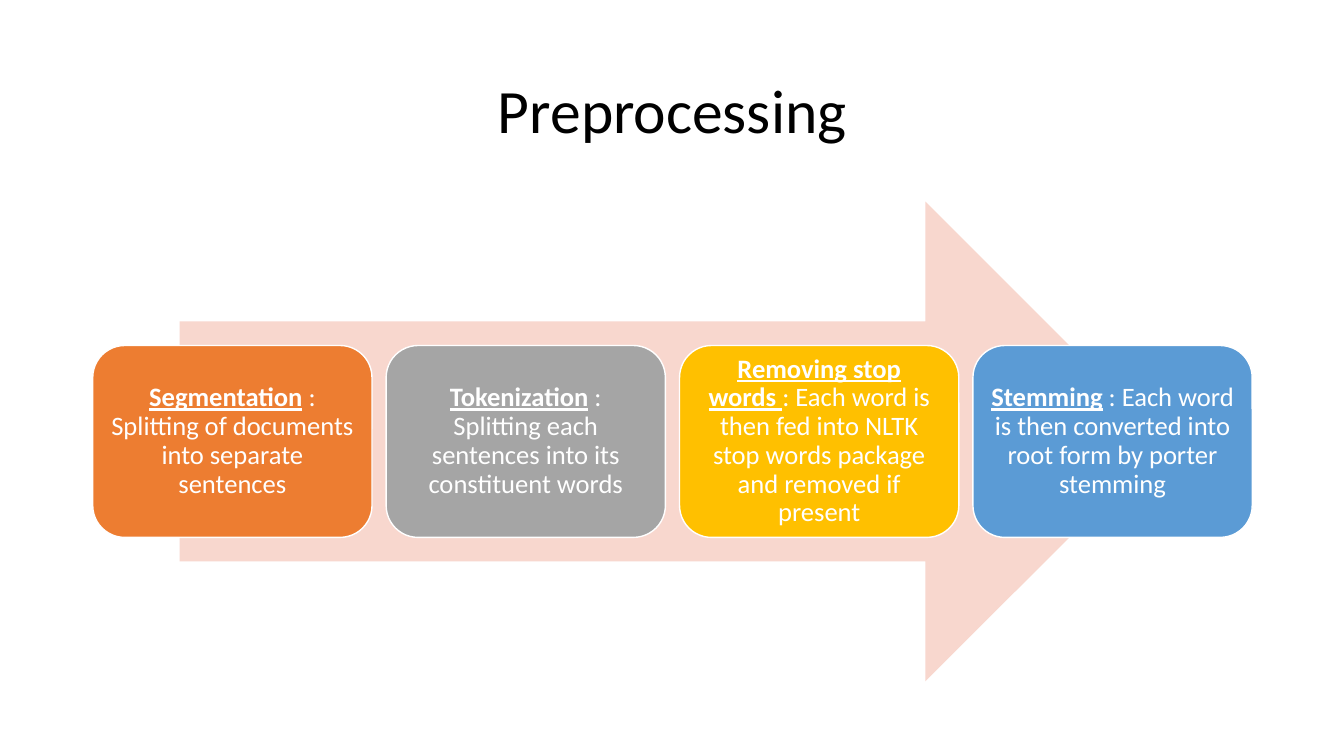
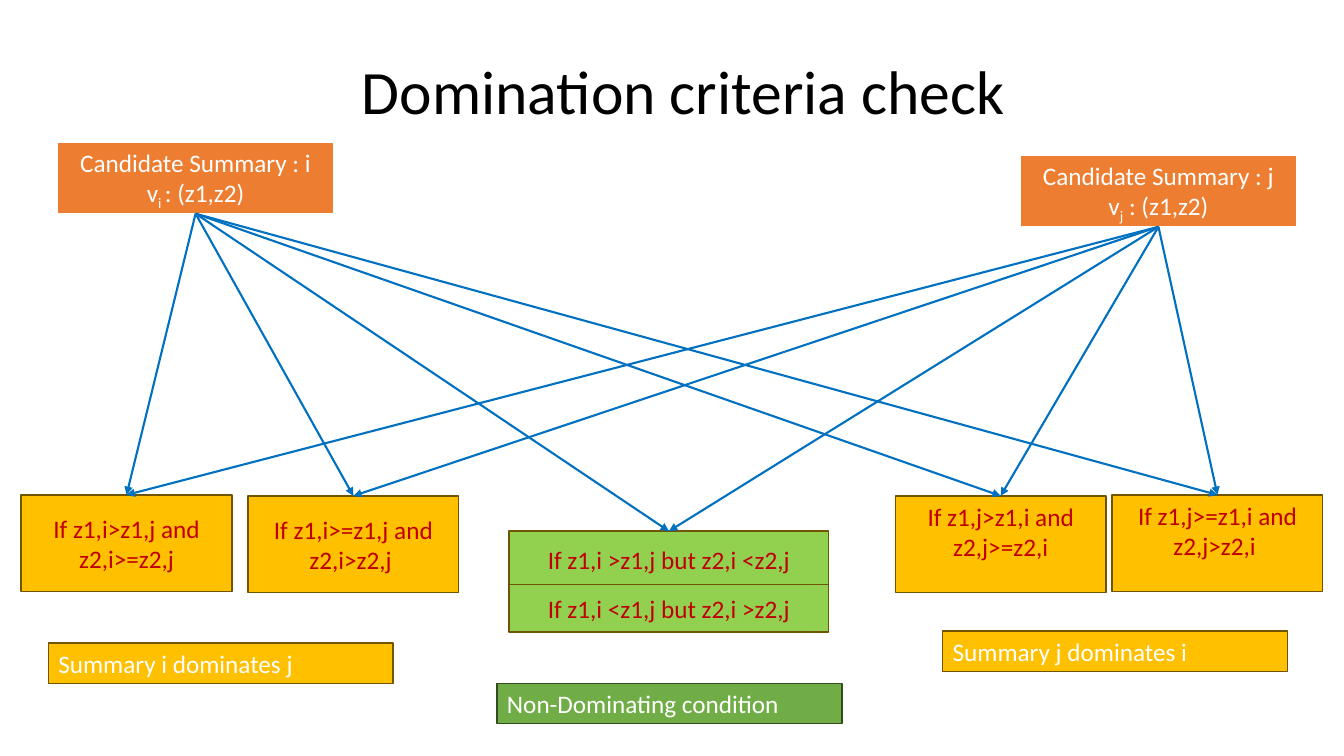
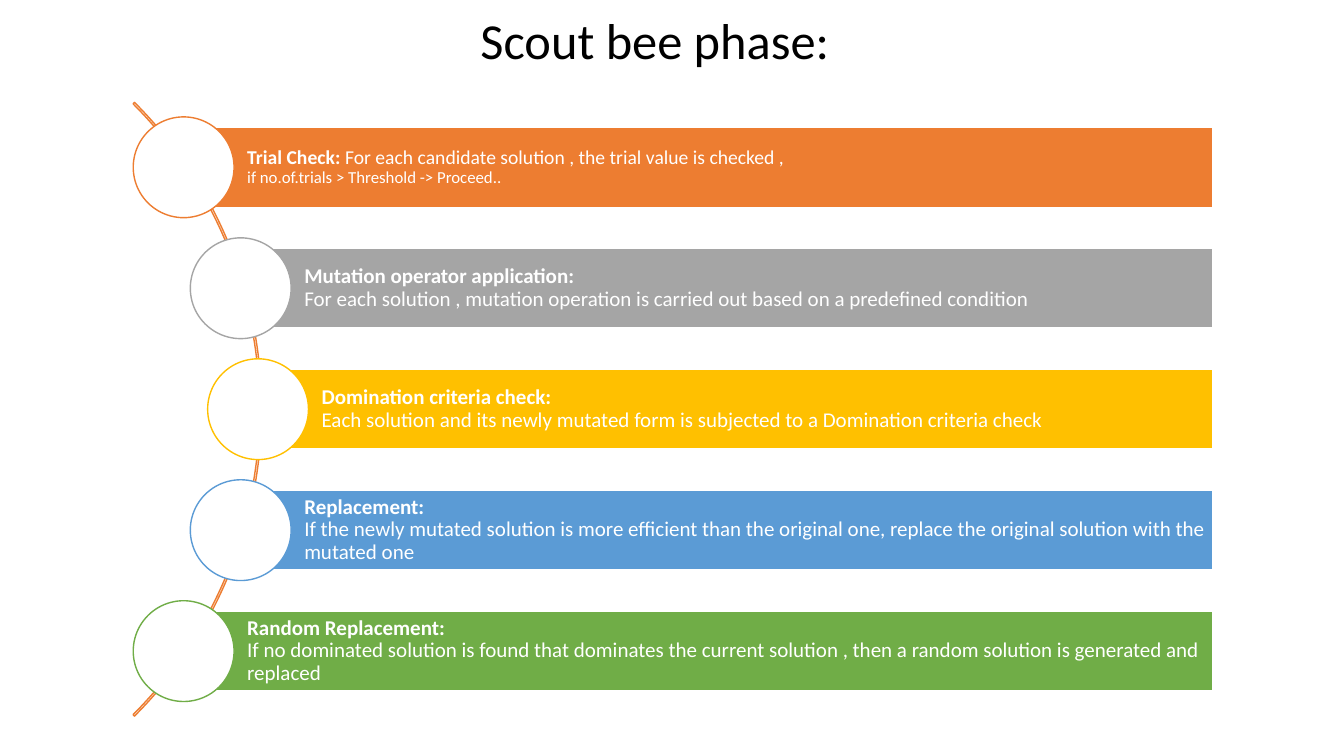
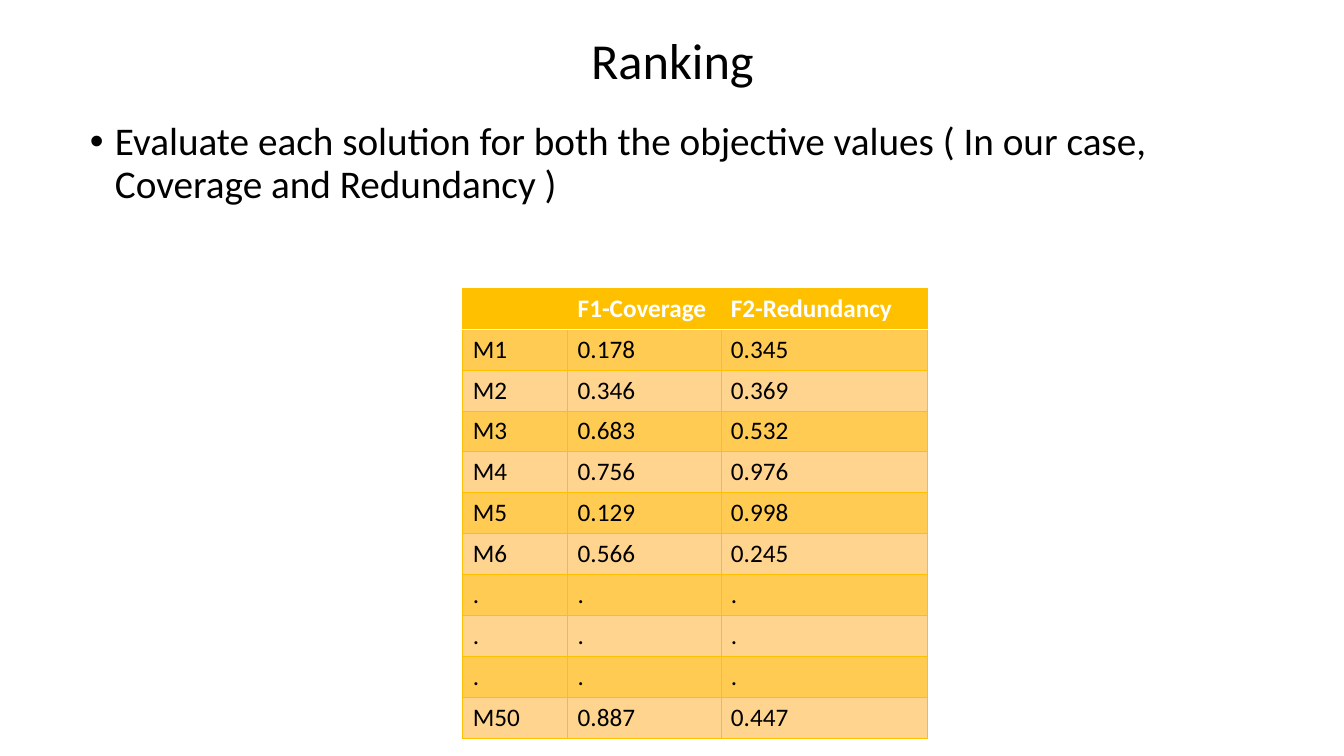
from dataclasses import dataclass
from math import sqrt

from lxml import etree
from pptx import Presentation
from pptx.dml.color import RGBColor
from pptx.enum.shapes import MSO_CONNECTOR, MSO_SHAPE
from pptx.enum.text import MSO_ANCHOR, MSO_AUTO_SIZE, PP_ALIGN
from pptx.oxml.ns import qn
from pptx.util import Inches, Pt

RECTANGLE = MSO_SHAPE.RECTANGLE
ROUNDED = MSO_SHAPE.ROUNDED_RECTANGLE
ARROW = MSO_SHAPE.RIGHT_ARROW
ARC = MSO_SHAPE.BLOCK_ARC
OVAL = MSO_SHAPE.OVAL
STRAIGHT = MSO_CONNECTOR.STRAIGHT
LEFT, CENTER = PP_ALIGN.LEFT, PP_ALIGN.CENTER
TOP, MIDDLE = MSO_ANCHOR.TOP, MSO_ANCHOR.MIDDLE
NO_FIT = MSO_AUTO_SIZE.NONE

TITLE_AND_BODY, TITLE_ONLY = 1, 5
TOP_SITE, BOTTOM_SITE = 0, 2


@dataclass(frozen=True)
class Theme:
    font: str = "Calibri"
    black: str = "000000"
    white: str = "FFFFFF"
    orange: str = "ED7D31"
    gray: str = "A5A5A5"
    gold: str = "FFC000"
    blue: str = "5B9BD5"
    green: str = "70AD47"
    lime: str = "92D050"
    red: str = "C00000"
    peach: str = "F8D7CE"
    link: str = "0070C0"
    gold_edge: str = "705400"
    green_edge: str = "314C1F"
    band_dark: str = "FFCB53"
    band_light: str = "FFD48E"
    title: int = 44
    title_small: int = 36
    body: int = 28
    step: int = 19
    label: int = 18
    phase: int = 15
    phase_small: int = 14
    phase_note: int = 12

    @property
    def accents(self):
        return self.orange, self.gray, self.gold, self.blue, self.green


THEME = Theme()


@dataclass(frozen=True)
class Box:
    left: float
    top: float
    width: float
    height: float

    def inches(self):
        return [Inches(v) for v in (self.left, self.top, self.width, self.height)]

    def inner(self, left, top, width, height):
        return Box(self.left + left, self.top + top, width, height)


def rgb(color):
    return RGBColor.from_string(color)


# Text: a paragraph is a list of runs, a run is (text, options)
def add_run(paragraph, text, size, color, bold=False, underline=False, subscript=False):
    run = paragraph.add_run()
    run.text = text
    font = run.font
    font.name, font.size, font.bold = THEME.font, Pt(size), bold
    font.underline = underline
    font.color.rgb = rgb(color)
    if subscript:
        run._r.get_or_add_rPr().set("baseline", "-25000")


def write(frame, paragraphs, size, color, align=CENTER, anchor=MIDDLE, spacing=1.0, insets=None):
    frame.word_wrap = True
    frame.auto_size = NO_FIT
    frame.vertical_anchor = anchor
    if insets:
        (frame.margin_left, frame.margin_top,
         frame.margin_right, frame.margin_bottom) = [Inches(inset) for inset in insets]
    for index, runs in enumerate(paragraphs):
        paragraph = frame.add_paragraph() if index else frame.paragraphs[0]
        paragraph.alignment = align
        paragraph.line_spacing = spacing
        paragraph.space_before = Pt(0)
        for text, options in runs:
            if text == "\n":
                paragraph.add_line_break()
            else:
                add_run(paragraph, text, **{"size": size, "color": color, **options})


def add_box(slide, kind, box, fill, line=None, line_width=1):
    shape = slide.shapes.add_shape(kind, *box.inches())
    shape.shadow.inherit = False
    if fill:
        shape.fill.solid()
        shape.fill.fore_color.rgb = rgb(fill)
    else:
        shape.fill.background()
    if line:
        shape.line.color.rgb = rgb(line)
        shape.line.width = Pt(line_width)
    else:
        shape.line.fill.background()
    return shape


def place(shape, box):
    shape.left, shape.top, shape.width, shape.height = box.inches()


def add_slide(presentation, title, box, size=THEME.title, layout=TITLE_ONLY):
    slide = presentation.slides.add_slide(presentation.slide_layouts[layout])
    place(slide.shapes.title, box)
    write(slide.shapes.title.text_frame, [[(title, {})]], size, THEME.black, spacing=0.9)
    return slide


# Process: rounded steps evenly spread over a wide arrow
def add_process(slide, box, steps):
    arrow_width = 0.85 * box.width
    add_box(slide, ARROW, box.inner((box.width - arrow_width) / 2, 0, arrow_width, box.height),
            THEME.peach)
    width, height = 2.77, 0.4 * box.height
    pitch = (box.width - width) / (len(steps) - 1)
    for index, (runs, color) in enumerate(zip(steps, THEME.accents)):
        step = add_box(slide, ROUNDED,
                       box.inner(index * pitch, (box.height - height) / 2, width, height),
                       color, THEME.white)
        write(step.text_frame, [runs], THEME.step, THEME.white, spacing=0.9, insets=[0.08] * 4)


def build_preprocessing(presentation):
    slide = add_slide(presentation, "Preprocessing", Box(0.92, 0.4, 11.5, 1.45))
    name = {"bold": True, "underline": True}
    add_process(slide, Box(0.92, 2, 11.5, 4.76), [
        [("Segmentation", name), (" ", {"bold": True}),
         (": Splitting of documents into separate sentences", {})],
        [("Tokenization", name), (" : Splitting each sentences into its constituent words", {})],
        [("Removing stop words ", name),
         (": Each word is then fed into NLTK stop words package and removed if present", {})],
        [("Stemming", name),
         (" : Each word is then converted into root form by porter stemming", {})],
    ])


# Domination check: candidates linked to every rule
def add_candidate(slide, box, letter, subscript, rest):
    shape = add_box(slide, RECTANGLE, box, THEME.orange, THEME.white, 1.5)
    write(shape.text_frame, [
        [(f"Candidate Summary : {letter}", {})],
        [("v", {}), (subscript, {"subscript": True}), (rest, {})],
    ], THEME.label, THEME.white, anchor=TOP)
    return shape


def add_rule(slide, box, text, fill=THEME.gold, anchor=MIDDLE):
    shape = add_box(slide, RECTANGLE, box, fill, THEME.gold_edge)
    write(shape.text_frame, [[(text, {})]], THEME.label, THEME.red, anchor=anchor)
    return shape


def add_verdict(slide, box, text, fill=THEME.gold, line=THEME.gold_edge):
    shape = add_box(slide, RECTANGLE, box, fill, line)
    write(shape.text_frame, [[(text, {})]], THEME.label, THEME.white, LEFT, TOP)


def add_link(slide, start, end):
    link = slide.shapes.add_connector(STRAIGHT, 0, 0, 0, 0)
    link.begin_connect(start, BOTTOM_SITE)
    link.end_connect(end, TOP_SITE)
    link.line.color.rgb = rgb(THEME.link)
    link.line.width = Pt(1.5)
    properties = link._element.spPr
    etree.SubElement(properties.find(qn("a:ln")), qn("a:tailEnd"), type="triangle")
    etree.SubElement(properties, qn("a:effectLst"))


def build_domination(presentation):
    slide = add_slide(presentation, "Domination criteria check", Box(1.03, 0.58, 11.5, 0.71))
    candidates = [
        add_candidate(slide, Box(0.57, 1.41, 2.74, 0.71), "i", "i ", ": (z1,z2)"),
        add_candidate(slide, Box(10.12, 1.54, 2.74, 0.71), "j", "j", " : (z1,z2)"),
    ]
    rules = [
        add_rule(slide, Box(left, top, 2.09, 0.96), text, anchor=anchor)
        for left, top, text, anchor in [
            (0.21, 4.91, "If z1,i>z1,j and z2,i>=z2,j", MIDDLE),
            (2.46, 4.92, "If z1,i>=z1,j and z2,i>z2,j ", MIDDLE),
            (8.88, 4.92, "If z1,j>z1,i and z2,j>=z2,i", TOP),
            (11.03, 4.91, "If z1,j>=z1,i and z2,j>z2,i ", TOP),
        ]
    ]
    rules.append(add_rule(slide, Box(5.05, 5.27, 3.17, 0.56),
                          "If z1,i >z1,j but z2,i <z2,j", THEME.lime))
    add_rule(slide, Box(5.05, 5.8, 3.17, 0.47), "If z1,i <z1,j but z2,i >z2,j", THEME.lime)
    for candidate in candidates:
        for rule in rules:
            add_link(slide, candidate, rule)
    add_verdict(slide, Box(0.48, 6.38, 3.42, 0.4), "Summary i dominates j")
    add_verdict(slide, Box(4.93, 6.78, 3.42, 0.4), "Non-Dominating condition",
                THEME.green, THEME.green_edge)
    add_verdict(slide, Box(9.35, 6.26, 3.42, 0.4), "Summary j dominates i")


# Phases: bars whose circles sit on one arc
def add_phases(slide, box, phases):
    diameter, thickness, path_radius = 8.61, 0.02, 4.27
    bar_height, circle_size, pitch = 0.8, 1, 1.2
    center_x, center_y = -3.02, box.height / 2
    arc = add_box(slide, ARC, box.inner(center_x - diameter / 2, center_y - diameter / 2,
                                        diameter, diameter), None, THEME.orange)
    # Arc from 315 to 45 degrees, in units of 100000 / 60000 degrees
    arc.adjustments[0] = 315 * 0.6
    arc.adjustments[1] = 45 * 0.6
    arc.adjustments[2] = thickness / diameter
    for index, (runs, color) in enumerate(zip(phases, THEME.accents)):
        offset = (index - (len(phases) - 1) / 2) * pitch
        x = center_x + sqrt(path_radius ** 2 - offset ** 2)
        y = center_y + offset
        bar = add_box(slide, RECTANGLE,
                      box.inner(x, y - bar_height / 2, box.width - x, bar_height),
                      color, THEME.white, 1.5)
        write(bar.text_frame, [runs], THEME.phase, THEME.white, LEFT,
              spacing=0.9, insets=[0.63, 0.04, 0.04, 0.04])
        add_box(slide, OVAL, box.inner(x - circle_size / 2, y - circle_size / 2,
                                       circle_size, circle_size), THEME.white, color)


def build_scout_phase(presentation):
    slide = add_slide(presentation, "Scout bee phase:", Box(1.05, 0, 10.89, 0.86),
                      THEME.title_small)
    small = {"size": THEME.phase_small}
    trial = [
        ("Trial Check: ", {**small, "bold": True}),
        ("For each candidate solution , the trial value is checked ,", small), ("\n", {}),
        ("if no.of.trials > Threshold -> Proceed..", {"size": THEME.phase_note}),
    ]
    others = [
        ("Mutation operator application:",
         "For each solution , mutation operation is carried out based on a predefined condition"),
        ("Domination criteria check:",
         "Each solution and its newly mutated form is subjected to a Domination criteria check"),
        ("Replacement:",
         "If the newly mutated solution is more efficient than the original one, "
         "replace the original solution with the mutated one"),
        ("Random Replacement:",
         "If no dominated solution is found that dominates the current solution , "
         "then a random solution is generated and replaced"),
    ]
    phases = [[(name, {"bold": True}), ("\n", {}), (text, {})] for name, text in others]
    add_phases(slide, Box(1.31, 1.01, 10.72, 6.1), [trial] + phases)


# Ranking: bullet and score table
def set_borders(cell, **colors):
    properties = cell._tc.get_or_add_tcPr()
    for index, side in enumerate("LRTB"):
        color = colors.get(side, THEME.gold)
        width = Pt(1 if side in colors else 0.5)
        line = etree.Element(qn(f"a:ln{side}"), w=str(int(width)))
        fill = etree.SubElement(line, qn("a:solidFill"))
        etree.SubElement(fill, qn("a:srgbClr"), val=color)
        properties.insert(index, line)


def add_score_table(slide, box, widths, rows):
    table = slide.shapes.add_table(len(rows), len(widths), *box.inches()).table
    table.horz_banding = False
    for column, width in zip(table.columns, widths):
        column.width = Inches(width)
    for row_index, values in enumerate(rows):
        header = row_index == 0
        band = THEME.band_dark if row_index % 2 else THEME.band_light
        edges = {0: {"B": THEME.white}, 1: {"T": THEME.white}}.get(row_index, {})
        for column_index, value in enumerate(values):
            cell = table.cell(row_index, column_index)
            cell.fill.solid()
            cell.fill.fore_color.rgb = rgb(THEME.gold if header else band)
            set_borders(cell, **edges)
            if value:
                add_run(cell.text_frame.paragraphs[0], value, THEME.label,
                        THEME.white if header else THEME.black, bold=header)


def build_ranking(presentation):
    slide = add_slide(presentation, "Ranking", Box(0.92, -0.1, 11.5, 1.45),
                      THEME.title_small, TITLE_AND_BODY)
    body = slide.placeholders[1]
    place(body, Box(0.79, 1.16, 11.5, 4.76))
    properties = body.text_frame.paragraphs[0]._p.get_or_add_pPr()
    properties.set("marL", str(int(Inches(0.25))))
    properties.set("indent", str(int(Inches(-0.25))))
    etree.SubElement(properties, qn("a:buChar"), char="•")
    write(body.text_frame, [[("Evaluate each solution for both the objective values "
                              "( In our case, Coverage and Redundancy )", {})]],
          THEME.body, THEME.black, LEFT, TOP, spacing=0.9)
    dots = (".", ".", ".")
    add_score_table(slide, Box(4.59, 2.86, 4.61, 4.4), [1.04, 1.52, 2.05], [
        ("", "F1-Coverage", "F2-Redundancy"),
        ("M1", "0.178", "0.345"),
        ("M2", "0.346", "0.369"),
        ("M3", "0.683", "0.532"),
        ("M4", "0.756", "0.976"),
        ("M5", "0.129", "0.998"),
        ("M6", "0.566", "0.245"),
        dots, dots, dots,
        ("M50", "0.887", "0.447"),
    ])


def main():
    presentation = Presentation()
    presentation.slide_width = Inches(13.33)
    presentation.slide_height = Inches(7.5)
    build_preprocessing(presentation)
    build_domination(presentation)
    build_scout_phase(presentation)
    build_ranking(presentation)
    presentation.save("out.pptx")


if __name__ == "__main__":
    main()
